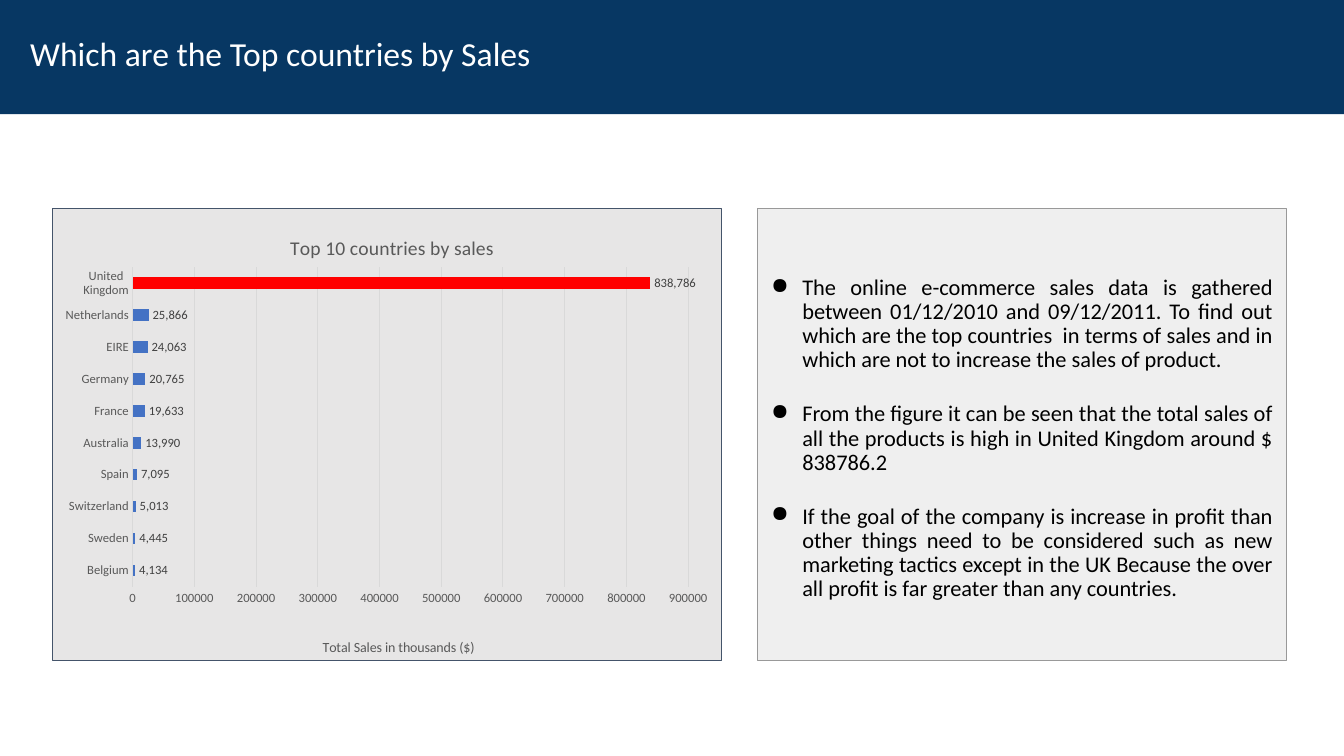
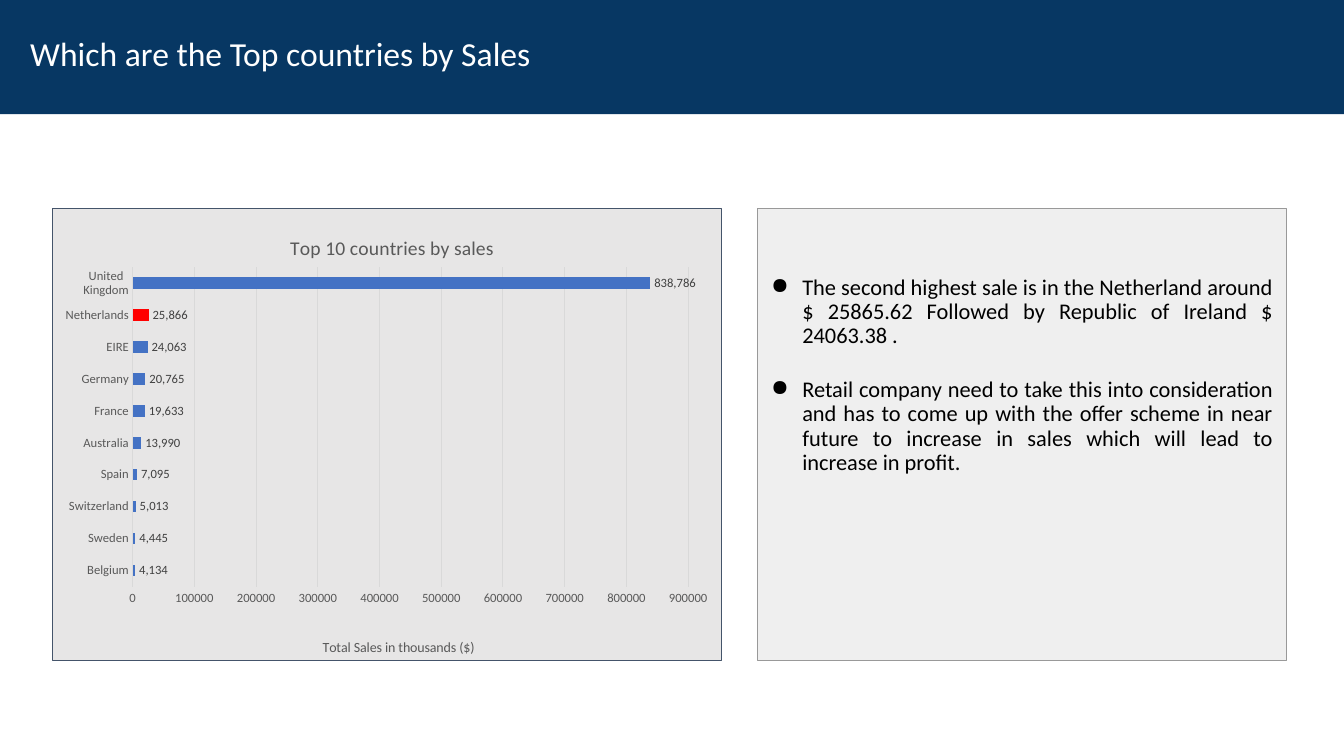
from dataclasses import dataclass

from lxml import etree
from pptx import Presentation
from pptx.chart.data import CategoryChartData
from pptx.dml.color import RGBColor
from pptx.enum.chart import XL_CHART_TYPE, XL_LABEL_POSITION, XL_TICK_MARK
from pptx.enum.shapes import MSO_SHAPE
from pptx.enum.text import MSO_ANCHOR, PP_ALIGN
from pptx.oxml.ns import qn
from pptx.util import Inches, Pt

BAR = XL_CHART_TYPE.BAR_CLUSTERED
OUTSIDE_END = XL_LABEL_POSITION.OUTSIDE_END
NO_TICK = XL_TICK_MARK.NONE
RECTANGLE = MSO_SHAPE.RECTANGLE
TOP, MIDDLE = MSO_ANCHOR.TOP, MSO_ANCHOR.MIDDLE
LEFT, JUSTIFY = PP_ALIGN.LEFT, PP_ALIGN.JUSTIFY

SLIDE_W, SLIDE_H = Inches(13.33), Inches(7.5)
FONT = "Calibri"
NAVY, WHITE, BLACK = "073763", "FFFFFF", "000000"
CHART_BACK, CHART_EDGE = "E7E6E6", "44546A"
NOTES_BACK, NOTES_EDGE = "EFEFEF", "999999"
BAR_BLUE, HIGHLIGHT = "4472C4", "FF0000"
AXIS_TEXT, LABEL_TEXT, GRID = "595959", "404040", "D9D9D9"

TITLE = "Which are the Top countries by Sales"
SALES = {
    "Belgium": 4134,
    "Sweden": 4445,
    "Switzerland": 5013,
    "Spain": 7095,
    "Australia": 13990,
    "France": 19633,
    "Germany": 20765,
    "EIRE": 24063,
    "Netherlands": 25866,
    "United Kingdom": 838786,
}


@dataclass(frozen=True)
class Area:
    """A rectangle in percent of the slide's width and height."""

    left: float
    top: float
    width: float
    height: float

    def lengths(self) -> tuple[int, ...]:
        return (
            int(SLIDE_W * self.left / 100),
            int(SLIDE_H * self.top / 100),
            int(SLIDE_W * self.width / 100),
            int(SLIDE_H * self.height / 100),
        )


@dataclass(frozen=True)
class SalesSlide:
    highlighted: str
    findings: tuple[str, ...]


BAND = Area(0, 0, 100, 15.1)
CHART_AREA = Area(3.9, 27.6, 49.8, 59.75)
NOTES_AREA = Area(56.4, 27.6, 39.3, 59.75)

SLIDES = (
    SalesSlide("United Kingdom", (
        "The online e-commerce sales data is gathered between 01/12/2010 and 09/12/2011. "
        "To find out which are the top countries  in terms of sales and in which are not "
        "to increase the sales of product.",
        "From the figure it can be seen that the total sales of all the products is high "
        "in United Kingdom around $ 838786.2",
        "If the goal of the company is increase in profit than other things need to be "
        "considered such as new marketing tactics except in the UK Because the over all "
        "profit is far greater than any countries.",
    )),
    SalesSlide("Netherlands", (
        "The second highest sale is in the Netherland around $ 25865.62 Followed by "
        "Republic of Ireland $ 24063.38 .",
        "Retail company need to take this into consideration and has to come up with the "
        "offer scheme in near future to increase in sales which will lead to increase in "
        "profit.",
    )),
)


def rgb(colour: str) -> RGBColor:
    return RGBColor.from_string(colour)


def set_font(font, size: float, colour: str) -> None:
    for name, value in {"name": FONT, "size": Pt(size), "bold": False}.items():
        setattr(font, name, value)
    font.color.rgb = rgb(colour)


def set_line(line, colour: str) -> None:
    line.color.rgb = rgb(colour)
    line.width = Pt(0.75)


def add_panel(slide, area: Area, fill: str, edge: str | None = None):
    panel = slide.shapes.add_shape(RECTANGLE, *area.lengths())
    panel.shadow.inherit = False
    panel.fill.solid()
    panel.fill.fore_color.rgb = rgb(fill)
    if edge:
        set_line(panel.line, edge)
    else:
        panel.line.fill.background()
    return panel


def set_frame(frame, anchor, left: float, top: float, bottom: float) -> None:
    settings = {
        "word_wrap": True,
        "vertical_anchor": anchor,
        "margin_left": Inches(left),
        "margin_right": Inches(0.13),
        "margin_top": Inches(top),
        "margin_bottom": Inches(bottom),
    }
    for name, value in settings.items():
        setattr(frame, name, value)


def add_title_band(slide) -> None:
    frame = add_panel(slide, BAND, NAVY).text_frame
    set_frame(frame, MIDDLE, left=0.3, top=0.13, bottom=0.16)
    heading = frame.paragraphs[0]
    heading.text = TITLE
    heading.alignment = LEFT
    heading.line_spacing = 0.9
    set_font(heading.runs[0].font, 24, WHITE)


def add_findings(slide, findings: tuple[str, ...]) -> None:
    frame = add_panel(slide, NOTES_AREA, NOTES_BACK, NOTES_EDGE).text_frame
    set_frame(frame, TOP, left=0.13, top=0.67, bottom=0.13)
    for index, finding in enumerate(findings):
        paragraph = frame.paragraphs[0] if index == 0 else frame.add_paragraph()
        paragraph.text = finding
        paragraph.alignment = JUSTIFY
        paragraph.line_spacing = 0.9
        paragraph.space_after = Pt(21.3)
        properties = paragraph._p.get_or_add_pPr()
        properties.set("marL", str(Inches(0.31)))
        properties.set("indent", str(-Inches(0.31)))
        etree.SubElement(properties, qn("a:buChar")).set("char", "●")
        set_font(paragraph.runs[0].font, 16, BLACK)


def place(element, index: int, **shares: float) -> None:
    """Give a chart part a manual layout in shares of the chart's size."""
    for old in element.findall(qn("c:layout")):
        element.remove(old)
    layout = etree.Element(qn("c:layout"))
    manual = etree.SubElement(layout, qn("c:manualLayout"))
    values = {"xMode": "edge", "yMode": "edge", **shares}
    if "w" in shares:
        values = {"layoutTarget": "inner", **values}
    for tag, value in values.items():
        etree.SubElement(manual, qn(f"c:{tag}")).set("val", str(value))
    element.insert(index, layout)


def set_chart_title(owner, title, text: str, size: float, x: float, y: float) -> None:
    owner.has_title = True
    title.text_frame.text = text
    set_font(title.text_frame.paragraphs[0].runs[0].font, size, AXIS_TEXT)
    place(title._element, 1, x=x, y=y)


def style_axes(chart) -> None:
    category_axis, value_axis = chart.category_axis, chart.value_axis
    for axis in (category_axis, value_axis):
        axis.major_tick_mark = axis.minor_tick_mark = NO_TICK
        set_font(axis.tick_labels.font, 9, AXIS_TEXT)
    category_axis.has_major_gridlines = False
    set_line(category_axis.format.line, GRID)
    value_axis.minimum_scale, value_axis.maximum_scale = 0, 900000
    value_axis.major_unit = 100000
    value_axis.format.line.fill.background()
    set_line(value_axis.major_gridlines.format.line, GRID)
    set_chart_title(value_axis, value_axis.axis_title,
                    "Total Sales in thousands ($)", 10, 0.4, 0.95)


def style_bars(plot, highlighted: str) -> None:
    plot.gap_width = 182
    plot.vary_by_categories = False
    bars = plot.series[0]
    bars.invert_if_negative = False
    top_bar = bars.points[list(SALES).index(highlighted)]
    for part, colour in ((bars, BAR_BLUE), (top_bar, HIGHLIGHT)):
        part.format.fill.solid()
        part.format.fill.fore_color.rgb = rgb(colour)
    labels = bars.data_labels
    settings = {
        "show_value": True,
        "position": OUTSIDE_END,
        "number_format": "#,##0",
        "number_format_is_linked": False,
    }
    for name, value in settings.items():
        setattr(labels, name, value)
    set_font(labels.font, 9, LABEL_TEXT)


def add_sales_chart(slide, highlighted: str) -> None:
    data = CategoryChartData()
    data.categories = list(SALES)
    data.add_series("Series 1", list(SALES.values()))
    chart = slide.shapes.add_chart(BAR, *CHART_AREA.lengths(), data).chart
    chart.has_legend = False
    set_font(chart.font, 10, BLACK)
    set_chart_title(chart, chart.chart_title, "Top 10 countries by sales", 14, 0.35, 0.05)
    style_axes(chart)
    style_bars(chart.plots[0], highlighted)
    plot_area = chart._chartSpace.chart.plotArea
    place(plot_area, 0, x=0.12, y=0.13, w=0.83, h=0.71)


def main() -> None:
    deck = Presentation()
    deck.slide_width, deck.slide_height = SLIDE_W, SLIDE_H
    for content in SLIDES:
        slide = deck.slides.add_slide(deck.slide_layouts[6])
        add_findings(slide, content.findings)
        add_panel(slide, CHART_AREA, CHART_BACK, CHART_EDGE)
        add_title_band(slide)
        add_sales_chart(slide, content.highlighted)
    deck.save("out.pptx")


if __name__ == "__main__":
    main()
